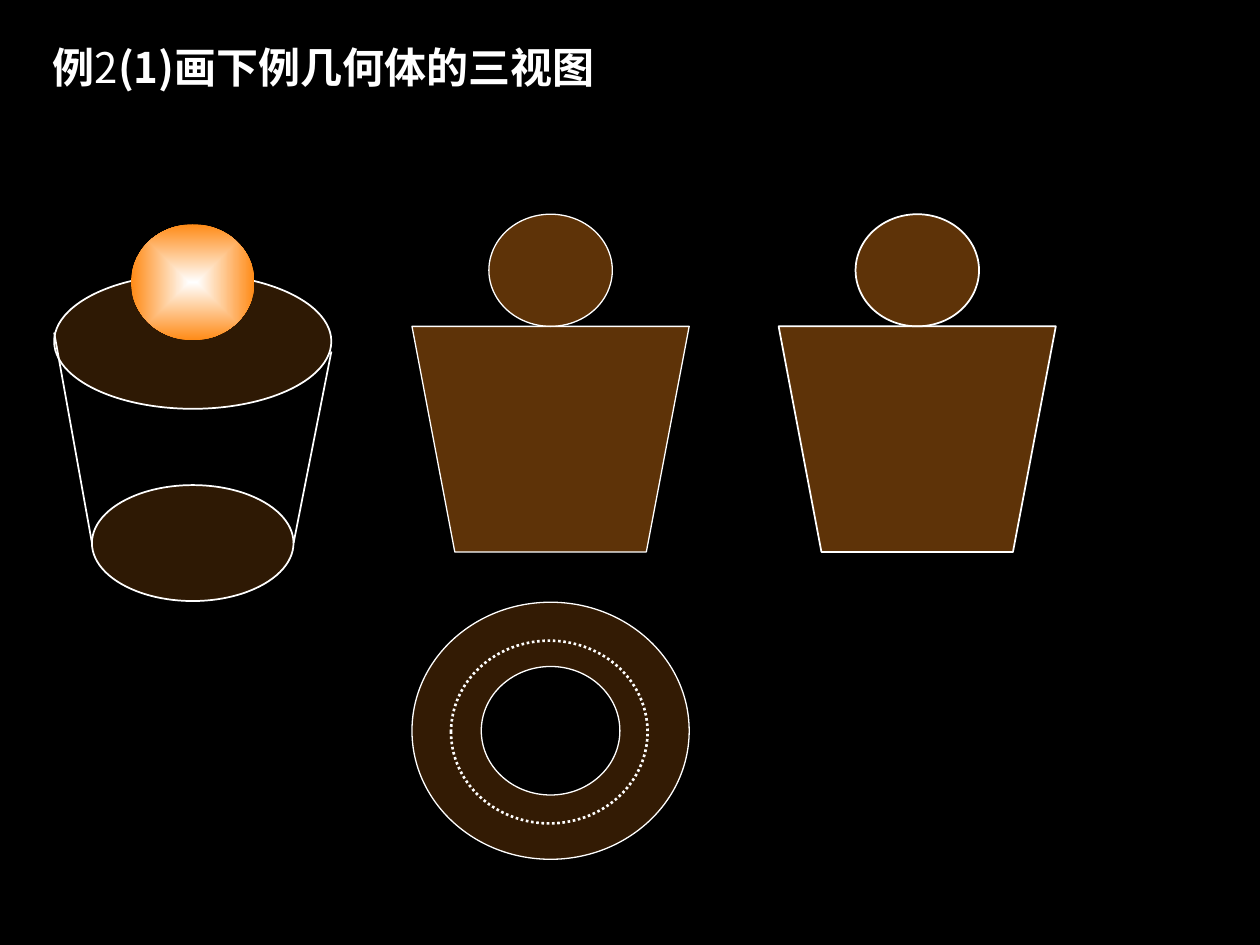
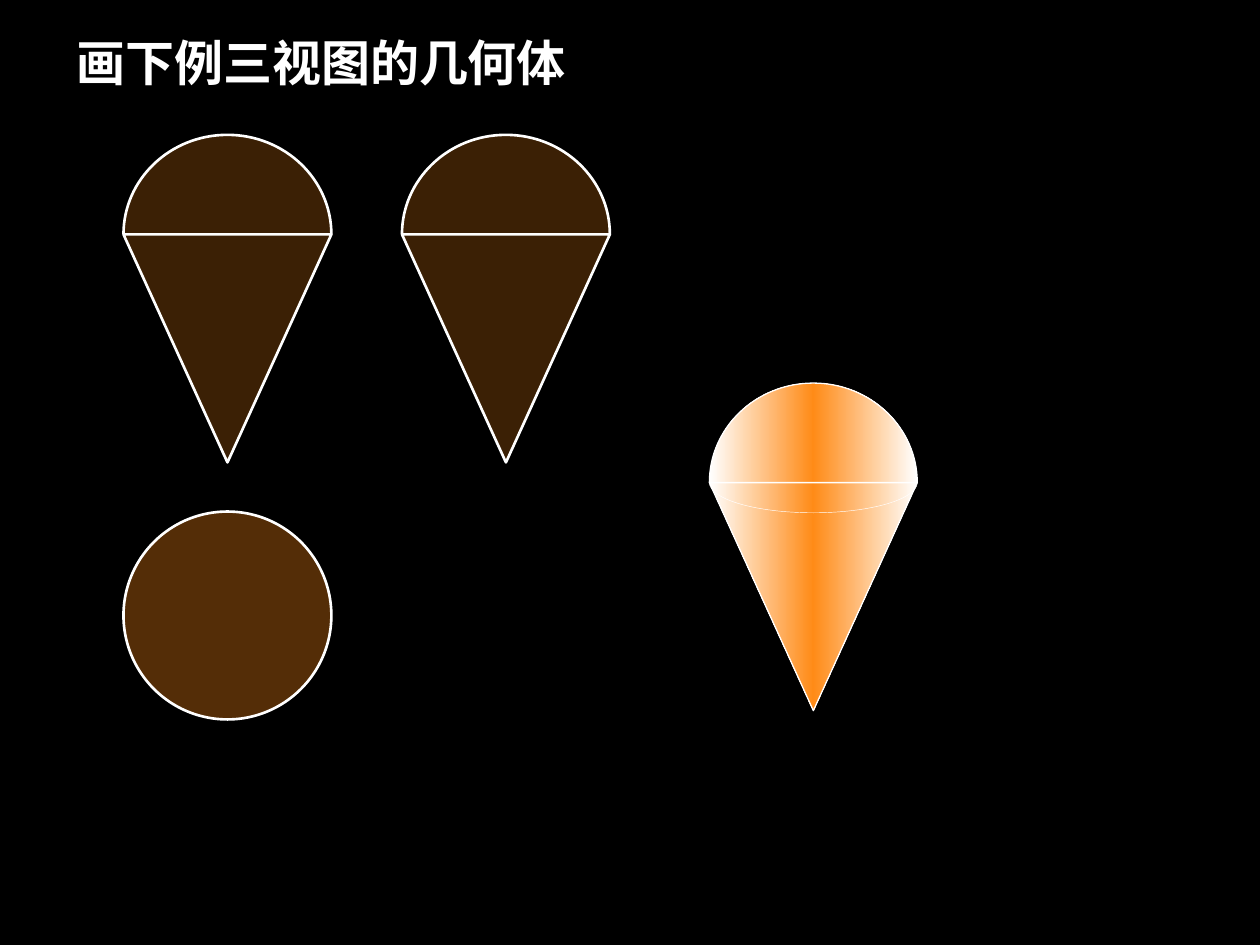
from math import cos, pi, sin

from lxml import etree
from pptx import Presentation
from pptx.dml.color import RGBColor
from pptx.enum.dml import MSO_LINE
from pptx.enum.shapes import MSO_CONNECTOR, MSO_SHAPE
from pptx.oxml import parse_xml
from pptx.oxml.ns import nsdecls, qn
from pptx.util import Inches, Pt

BLACK = RGBColor(0x00, 0x00, 0x00)
WHITE = RGBColor(0xFF, 0xFF, 0xFF)
ORANGE = RGBColor(0xFF, 0x8B, 0x17)
KAPPA = 4 / 3 * (2 ** 0.5 - 1)      # handle length of a quarter circle

# Titles: place, font, size, line height and (text, bold) runs
BUCKET_TITLE = dict(box=(0.32, 0.28, 4.63, 0.5), font="Noto Sans CJK SC", size=24, pitch=28.6,
                    runs=[("例", True), ("2", False), ("(1)画下例几何体的三视图", True)])
CONE_TITLE = dict(box=(0.51, 0.21, 4.33, 0.57), font="Montserrat", size=28, pitch=None,
                  runs=[("画下例三视图的几何体", True)])

# Gradients: stops and direction
BALL_GLOW = ([(0, WHITE), (100, ORANGE)],
             '<a:path path="rect"><a:fillToRect l="50000" t="50000" r="50000" b="50000"/></a:path>')
CONE_SHEEN = ([(0, WHITE), (50, ORANGE), (100, WHITE)], '<a:lin ang="0" scaled="0"/>')

# Bucket with a ball: centres and sizes in inches
RIM_W, BALL_W, BALL_H = 2.2, 0.98, 0.89
BUCKET_TOP, BUCKET_H, BASE_W = 2.59, 1.79, 1.52
SOLID_X, FRONT_X, SIDE_X = 1.53, 4.37, 7.28
RIM_Y, BASE_Y = 2.71, 4.31
PLAN_Y = 5.8
ELEVATIONS = [(FRONT_X, 0.75), (SIDE_X, 1)]      # centre, line width
WALLS = [((0.43, 2.64), (0.73, 4.31)), ((2.63, 2.79), (2.33, 4.31))]

# Cone with a dome: left, seam, fill, line width
CONE_W, CONE_H, DOME_H, SEAM_H = 1.65, 1.81, 0.79, 0.24
CONES = [(0.98, 1.86, 23, 1.5), (3.19, 1.86, 23, 1.5), (5.63, 3.83, CONE_SHEEN, 0.75)]
CONE_PLAN = (0.98, 4.06)


def paint(shape, fill, line, dash=None):
    """Fill is None, an opacity of orange in percent, or a gradient; line is a width or None."""
    shape.shadow.inherit = False
    if fill is None:
        shape.fill.background()
    elif isinstance(fill, tuple):
        stops, direction = fill
        marks = "".join(f'<a:gs pos="{at * 1000}"><a:srgbClr val="{color}"/></a:gs>'
                        for at, color in stops)
        geometry = shape.element.spPr.find(qn("a:prstGeom"))
        if geometry is None:
            geometry = shape.element.spPr.find(qn("a:custGeom"))
        geometry.addnext(parse_xml(f'<a:gradFill rotWithShape="1" {nsdecls("a")}>'
                                   f'<a:gsLst>{marks}</a:gsLst>{direction}</a:gradFill>'))
    else:
        shape.fill.solid()
        shape.fill.fore_color.rgb = ORANGE
        color = shape.element.spPr.find(qn("a:solidFill"))[0]
        etree.SubElement(color, qn("a:alpha")).set("val", str(fill * 1000))
    if line is None:
        shape.line.fill.background()
    else:
        shape.line.color.rgb = WHITE
        shape.line.width = Pt(line)
        if dash:
            shape.line.dash_style = dash


def preset(slide, kind, left, top, width, height, fill, line, dash=None):
    shape = slide.shapes.add_shape(kind, *map(Inches, (left, top, width, height)))
    paint(shape, fill, line, dash)
    return shape


def ellipse(slide, x, y, width, height, fill, line, dash=None):
    """Ellipse around the centre x, y."""
    preset(slide, MSO_SHAPE.OVAL, x - width / 2, y - height / 2, width, height, fill, line, dash)


def outline(slide, contours, fill, line, close=True, curved=False):
    """Freeform; when curved, each three points after the first are one Bezier curve."""
    emu = [[(Inches(x), Inches(y)) for x, y in contour] for contour in contours]
    builder = slide.shapes.build_freeform(*emu[0][0])
    for number, contour in enumerate(emu):
        if number:
            builder.move_to(*contour[0])
        builder.add_line_segments(contour[1:], close=close)
    shape = builder.convert_to_shape()
    if curved:
        segments = list(shape.element.spPr.iter(qn("a:lnTo")))
        for first in range(0, len(segments), 3):
            curve = etree.Element(qn("a:cubicBezTo"))
            segments[first].addprevious(curve)
            for segment in segments[first:first + 3]:
                curve.append(segment[0])
                segment.getparent().remove(segment)
    paint(shape, fill, line)


def arc(x, y, rx, ry, start, quarters, turn=1):
    """Curve points of an ellipse from quarter start; turn 1 is clockwise, -1 the reverse."""
    def point(quarter, slide_along=0):
        angle = quarter * pi / 2
        return (x + rx * (cos(angle) - slide_along * sin(angle)),
                y + ry * (sin(angle) + slide_along * cos(angle)))

    points = [point(start)]
    for step in range(quarters):
        here, there = start + turn * step, start + turn * (step + 1)
        points += [point(here, turn * KAPPA), point(there, -turn * KAPPA), point(there)]
    return points


def straight(slide, start, end, width):
    line = slide.shapes.add_connector(MSO_CONNECTOR.STRAIGHT, *map(Inches, start + end))
    line.line.color.rgb = WHITE
    line.line.width = Pt(width)
    etree.SubElement(line.element.spPr, qn("a:effectLst"))


def titled_slide(prs, title):
    slide = prs.slides.add_slide(prs.slide_layouts[6])
    slide.background.fill.solid()
    slide.background.fill.fore_color.rgb = BLACK
    frame = slide.shapes.add_textbox(*map(Inches, title["box"])).text_frame
    frame.word_wrap = True
    paragraph = frame.paragraphs[0]
    if title["pitch"]:
        paragraph.line_spacing = Pt(title["pitch"])
    for text, bold in title["runs"]:
        run = paragraph.add_run()
        run.text = text
        run.font.size = Pt(title["size"])
        run.font.bold = bold
        run.font.color.rgb = WHITE
        run.font.name = title["font"]
        etree.SubElement(run.font._element, qn("a:ea")).set("typeface", title["font"])
    return slide


def bucket_slide(prs):
    slide = titled_slide(prs, BUCKET_TITLE)
    ellipse(slide, SOLID_X, RIM_Y, RIM_W, 1.07, 18, 1)
    ellipse(slide, SOLID_X, BASE_Y, 1.6, 0.92, 18, 1)
    for top, bottom in WALLS:
        straight(slide, top, bottom, 1)
    ellipse(slide, SOLID_X, 2.24, BALL_W, 0.92, BALL_GLOW, None)

    rim = arc(FRONT_X, PLAN_Y, RIM_W / 2, 1.02, 2, 4)
    hole = arc(FRONT_X, PLAN_Y, RIM_W / 4, 0.51, 2, 4, turn=-1)
    outline(slide, [rim, hole], 20, 0.75, curved=True)
    ellipse(slide, FRONT_X - 0.01, PLAN_Y + 0.01, 1.56, 1.45, None, 1.5, MSO_LINE.ROUND_DOT)

    for x, line in ELEVATIONS:
        bottom = BUCKET_TOP + BUCKET_H
        outline(slide, [[(x - RIM_W / 2, BUCKET_TOP), (x - BASE_W / 2, bottom),
                         (x + BASE_W / 2, bottom), (x + RIM_W / 2, BUCKET_TOP)]], 37, line)
        ellipse(slide, x, BUCKET_TOP - BALL_H / 2, BALL_W, BALL_H, 37, line)


def cone_slide(prs):
    slide = titled_slide(prs, CONE_TITLE)
    preset(slide, MSO_SHAPE.OVAL, *CONE_PLAN, CONE_W, CONE_W, 33, 1.5)
    radius = CONE_W / 2
    for left, seam, fill, line in CONES:
        middle = left + radius
        dome = arc(middle, seam, radius, DOME_H, 0, 2, turn=-1)
        outline(slide, [dome], fill, line, close=False, curved=True)
        if fill is not CONE_SHEEN:
            straight(slide, (left, seam), (left + CONE_W, seam), 0.75)
        cone = preset(slide, MSO_SHAPE.ISOSCELES_TRIANGLE, left, seam, CONE_W, CONE_H, fill, line)
        cone.rotation = 180
        if fill is CONE_SHEEN:
            rim = arc(middle, seam, radius, SEAM_H, 0, 2)
            outline(slide, [rim], None, 0.25, close=False, curved=True)


def main():
    prs = Presentation()
    prs.slide_width, prs.slide_height = Inches(10), Inches(7.5)
    bucket_slide(prs)
    cone_slide(prs)
    prs.save("out.pptx")


if __name__ == "__main__":
    main()
